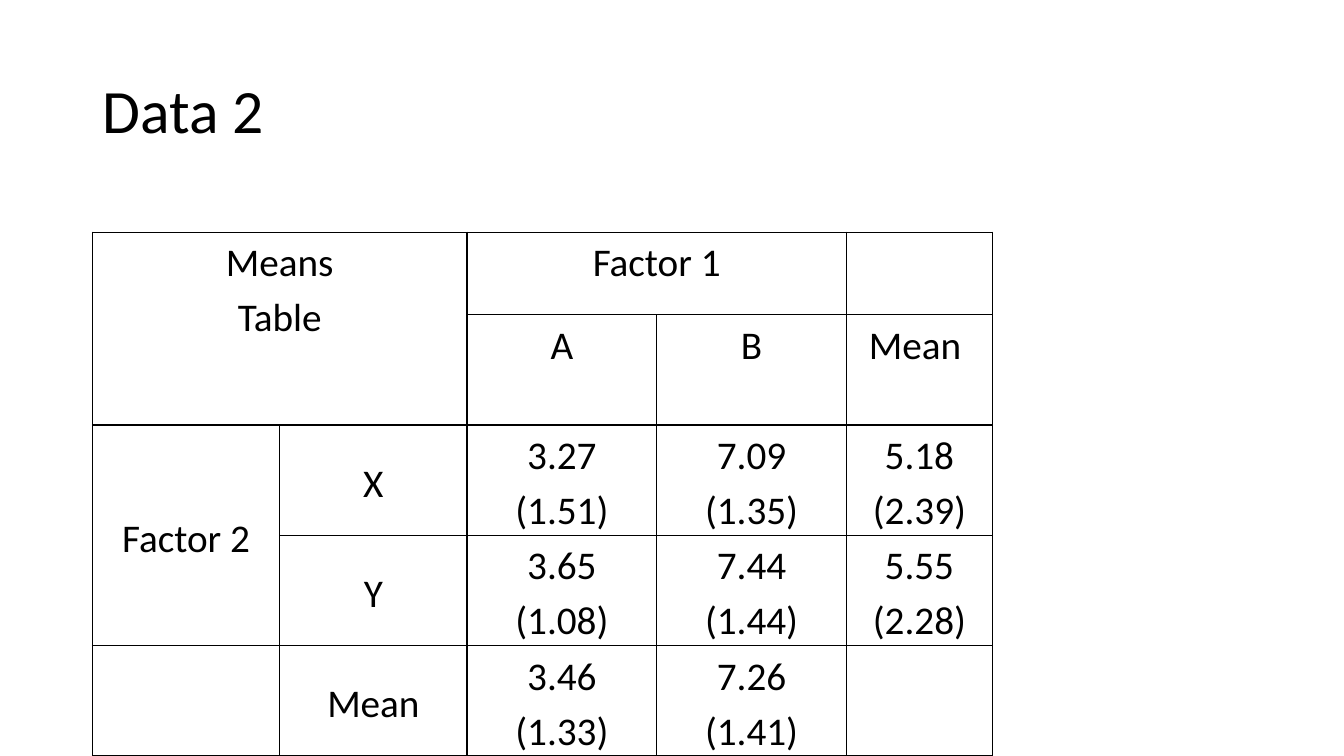
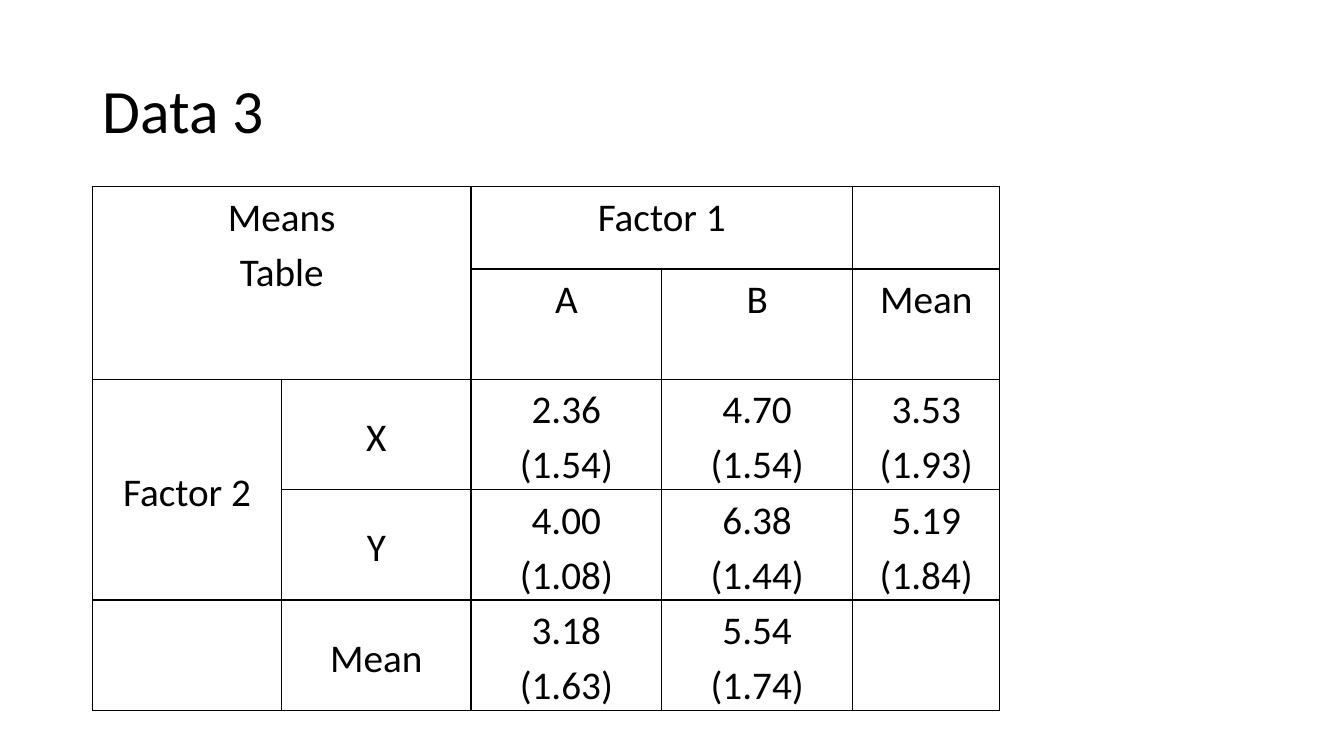
from dataclasses import dataclass

from lxml.etree import SubElement as Sub
from pptx import Presentation
from pptx.dml.color import RGBColor as Rgb
from pptx.enum.text import MSO_ANCHOR as Anchor, PP_ALIGN as Align
from pptx.oxml import parse_xml
from pptx.oxml.ns import nsdecls, qn
from pptx.util import Cm, Pt


@dataclass(frozen=True)
class Theme:
    """Colours, font, type sizes and shared lengths in cm."""
    ink: str = "000000"
    font: str = "Calibri"
    title: int = 44
    body: int = 28
    rule: int = 1
    left: float = 2.33
    inset: float = 0.18
    rows: tuple = (2.08, 2.78, 2.78, 2.78, 2.78)


THEME = Theme()
MERGES = (((0, 0), (1, 1)), ((0, 2), (0, 3)), ((2, 0), (3, 0)))
TABLES = (
    {
        "title": "Data 2", "top": 5.85, "cols": (4.72, 4.72, 4.78, 4.78, 3.68), "mean": "Mean ",
        "X": ("3.27\n(1.51)", "7.09\n(1.35)", "5.18\n(2.39)"),
        "Y": ("3.65\n(1.08)", "7.44\n(1.44)", "5.55\n(2.28)"),
        "Mean": ("3.46\n(1.33)", "7.26\n(1.41)", ""),
    },
    {
        "title": "Data 3", "top": 4.7, "cols": (4.77, 4.77, 4.81, 4.81, 3.71), "mean": "Mean",
        "X": ("2.36\n(1.54)", "4.70\n(1.54)", "3.53\n(1.93)"),
        "Y": ("4.00\n(1.08)", "6.38\n(1.44)", "5.19\n(1.84)"),
        "Mean": ("3.18\n(1.63)", "5.54\n(1.74)", ""),
    },
)


def write(frame, text, size, align, space):
    """Write text run by run, with a line break between lines."""
    para = frame.paragraphs[0]
    para.alignment = align
    para.line_spacing = space
    para.font.size = Pt(size)
    for num, line in enumerate(text.split("\n")):
        if num:
            para.add_line_break()
        run = para.add_run()
        run.text = line
        run.font.name = THEME.font
        run.font.size = Pt(size)
        run.font.color.rgb = Rgb.from_string(THEME.ink)


def add_title(slide, text):
    """Add the slide title."""
    box = slide.shapes.add_textbox(Cm(THEME.left), Cm(1.01), Cm(29.21), Cm(3.68))
    frame = box.text_frame
    frame.word_wrap = True
    frame.vertical_anchor = Anchor.MIDDLE
    write(frame, text, THEME.title, Align.LEFT, 0.9)


def set_rules(cell):
    """Draw a thin line on all four sides of a cell."""
    props = cell._tc.get_or_add_tcPr()
    for spot, side in enumerate("LRTB"):
        line = parse_xml(f'<a:ln{side} {nsdecls("a")} w="{Pt(THEME.rule)}"/>')
        fill = Sub(line, qn("a:solidFill"))
        Sub(fill, qn("a:srgbClr"), val=THEME.ink)
        props.insert(spot, line)


def fill_cell(cell, text, middle):
    """Style one cell and write its text."""
    cell.fill.background()
    set_rules(cell)
    cell.margin_left = cell.margin_right = Cm(THEME.inset)
    cell.margin_top = cell.margin_bottom = 0
    cell.vertical_anchor = Anchor.MIDDLE if middle else Anchor.TOP
    if text:
        write(cell.text_frame, text, THEME.body, Align.CENTER, 1.15)


def get_rows(data):
    """Return the table text, row by row."""
    return (
        ("Means\nTable", "", "Factor 1", "", ""),
        ("", "", "A", "B", data["mean"]),
        ("Factor 2", "X", *data["X"]),
        ("", "Y", *data["Y"]),
        ("", "Mean", *data["Mean"]),
    )


def add_means(slide, data):
    """Add the table of means and deviations."""
    cols = data["cols"]
    table = slide.shapes.add_table(
        len(THEME.rows), len(cols), Cm(THEME.left), Cm(data["top"]),
        Cm(sum(cols)), Cm(sum(THEME.rows))).table
    table.first_row = table.horz_banding = False
    for col, width in zip(table.columns, cols):
        col.width = Cm(width)
    for row, height in zip(table.rows, THEME.rows):
        row.height = Cm(height)
    for first, last in MERGES:
        table.cell(*first).merge(table.cell(*last))
    for r, row in enumerate(get_rows(data)):
        for c, text in enumerate(row):
            fill_cell(table.cell(r, c), text, r > 1 and c < 2)


def main():
    """Build and save the slides."""
    deck = Presentation()
    deck.slide_width, deck.slide_height = Cm(33.87), Cm(19.05)
    for data in TABLES:
        slide = deck.slides.add_slide(deck.slide_layouts[6])
        add_title(slide, data["title"])
        add_means(slide, data)
    deck.save("out.pptx")


if __name__ == "__main__":
    main()
